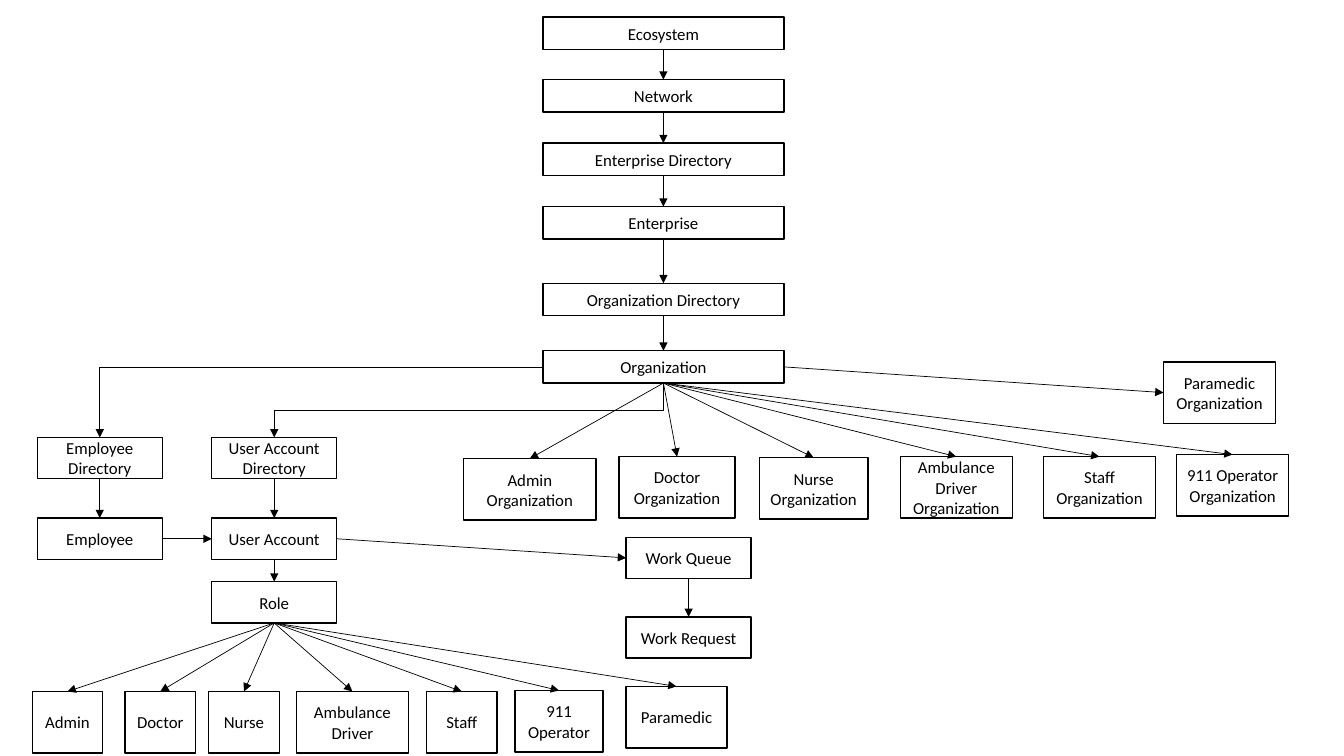
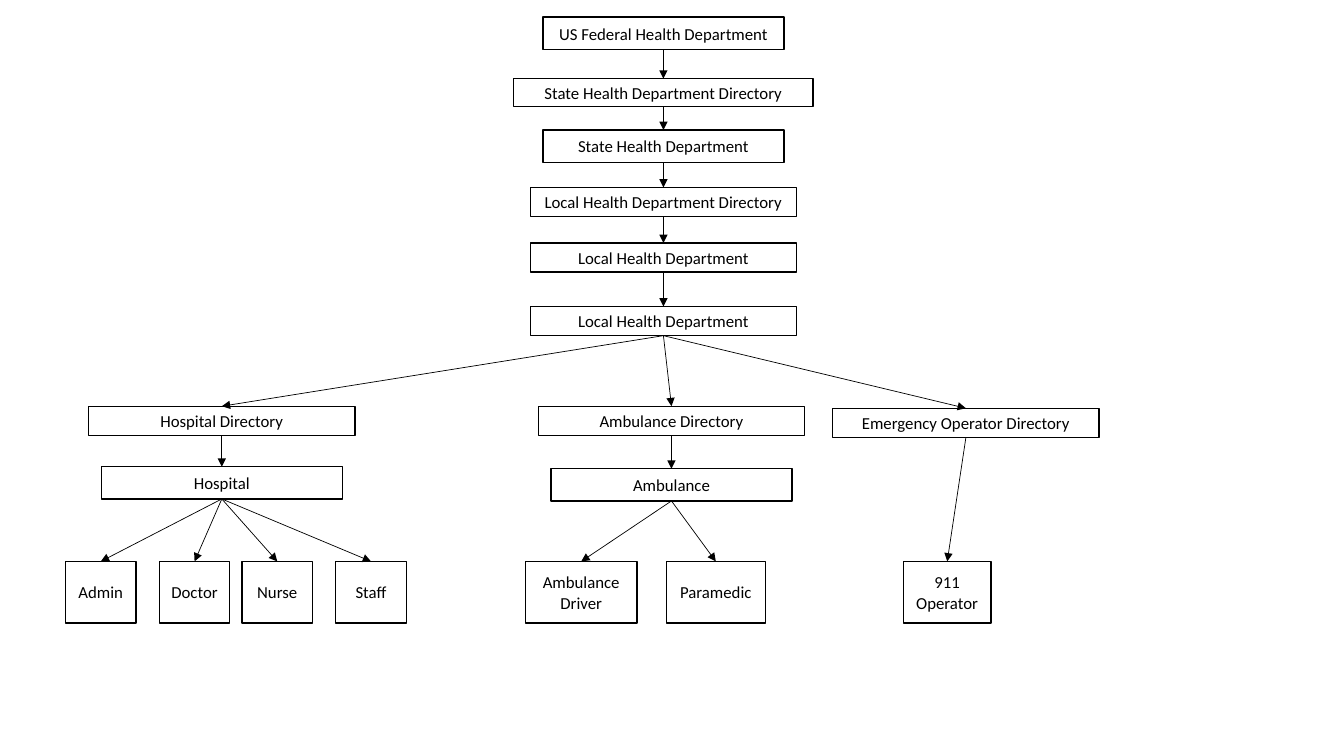
from dataclasses import dataclass

from lxml.etree import SubElement
from pptx import Presentation
from pptx.dml.color import RGBColor
from pptx.enum.shapes import MSO_CONNECTOR, MSO_SHAPE
from pptx.enum.text import MSO_ANCHOR, PP_ALIGN
from pptx.oxml.ns import qn
from pptx.util import Inches, Pt

TOP, LEFT, BOTTOM, RIGHT = range(4)


@dataclass(frozen=True)
class Theme:
    ink: RGBColor = RGBColor(0, 0, 0)
    font: str = "Calibri"
    size: Pt = Pt(12)
    edge: Pt = Pt(1)
    wire: Pt = Pt(0.5)
    bar: tuple = (2.39, 0.32)
    wide: tuple = (2.64, 0.29)
    card: tuple = (1.24, 0.41)
    leaf: float = 0.61


THEME = Theme()
FONT = {"name": THEME.font, "size": THEME.size}
FRAME = {"word_wrap": True, "vertical_anchor": MSO_ANCHOR.MIDDLE}


def apply(target, values):
    for name, value in values.items():
        setattr(target, name, value)


def draw_box(slide, text, left, top, width, height):
    box = slide.shapes.add_shape(
        MSO_SHAPE.RECTANGLE, *map(Inches, (left, top, width, height)))
    box.shadow.inherit = False
    box.fill.background()
    box.line.color.rgb = THEME.ink
    box.line.width = THEME.edge
    frame = box.text_frame
    apply(frame, FRAME)
    frame.text = text
    for para in frame.paragraphs:
        para.alignment = PP_ALIGN.CENTER
        for run in para.runs:
            apply(run.font, FONT)
            run.font.color.rgb = THEME.ink
    return box


def link(slide, start, end, out=BOTTOM, into=TOP, kind=MSO_CONNECTOR.STRAIGHT):
    """Glue an arrow between a side of one box and a side of another."""
    wire = slide.shapes.add_connector(kind, 0, 0, 0, 0)
    wire.begin_connect(start, out)
    wire.end_connect(end, into)
    wire.line.color.rgb = THEME.ink
    wire.line.width = THEME.wire
    props = wire.element.spPr
    SubElement(props.find(qn("a:ln")), qn("a:tailEnd"), type="triangle")
    SubElement(props, qn("a:effectLst"))
    return wire


def link_corner(slide, start, end):
    """Run sideways from the left of start, then down to the top of end."""
    wire = link(slide, start, end, LEFT, TOP, MSO_CONNECTOR.ELBOW)
    wire.element.spPr.find(qn("a:prstGeom")).set("prst", "bentConnector2")


def link_step(slide, start, end):
    """Run down, left and down again: an elbow turned by a quarter."""
    wire = link(slide, start, end, kind=MSO_CONNECTOR.ELBOW)
    wide, high = wire.width, wire.height
    mid_x, mid_y = wire.left + wide // 2, wire.top + high // 2
    apply(wire, {"left": mid_x - high // 2, "top": mid_y - wide // 2,
                 "width": high, "height": wide})
    frame = wire.element.spPr.find(qn("a:xfrm"))
    frame.attrib.pop("flipH", None)
    frame.set("rot", "5400000")


def draw_column(slide, mid, top, size, items):
    """Stack linked boxes around a centre line; items are (text, drop[, size])."""
    boxes = []
    for text, drop, *own in items:
        width, height = own[0] if own else size
        boxes.append(
            draw_box(slide, text, mid - width / 2, top + drop, width, height))
    for above, below in zip(boxes, boxes[1:]):
        link(slide, above, below)
    return boxes


def draw_fan(slide, parent, left, top, items):
    """Link parent to a row of leaves; items are (text, shift, width[, drop])."""
    for text, shift, width, *drop in items:
        leaf = draw_box(
            slide, text, left + shift, top + sum(drop), width, THEME.leaf)
        link(slide, parent, leaf)


def build_system(slide):
    spine = draw_column(slide, 6.58, 0.17, THEME.bar, [
        ("Ecosystem", 0), ("Network", 0.62), ("Enterprise Directory", 1.25),
        ("Enterprise", 1.88), ("Organization Directory", 2.64),
        ("Organization", 3.31)])
    hub = spine[-1]
    staff = draw_column(slide, 0.99, 4.34, THEME.card, [
        ("Employee Directory", 0), ("Employee", 0.8)])
    users = draw_column(slide, 2.72, 4.34, THEME.card, [
        ("User Account Directory", 0), ("User Account", 0.8), ("Role", 1.43)])
    work = draw_column(slide, 6.83, 5.33, THEME.card, [
        ("Work Queue", 0), ("Work Request", 0.79)])
    link_corner(slide, hub, staff[0])
    link_step(slide, hub, users[0])
    link(slide, staff[1], users[1], RIGHT, LEFT)
    link(slide, users[1], work[0], RIGHT, LEFT)

    draw_fan(slide, hub, 4.6, 4.53, [
        ("Admin\nOrganization", 0, 1.31, 0.02),
        ("Doctor Organization", 1.54, 1.15),
        ("Nurse Organization", 2.93, 1.08, 0.01),
        ("Ambulance Driver Organization", 4.33, 1.11),
        ("Staff Organization", 5.75, 1.11),
        ("911 Operator Organization", 7.07, 1.11, -0.02)])
    medic = draw_box(
        slide, "Paramedic Organization", 11.54, 3.59, 1.11, THEME.leaf)
    link(slide, hub, medic, RIGHT, LEFT)

    draw_fan(slide, users[-1], 0.32, 6.86, [
        ("Admin", 0, 0.7), ("Doctor", 0.92, 0.7), ("Nurse", 1.75, 0.7),
        ("Ambulance Driver", 2.62, 1.11), ("Staff", 3.91, 0.7),
        ("911 Operator", 4.79, 0.87, -0.01),
        ("Paramedic", 5.89, 1, -0.05)])


def build_health(slide):
    spine = draw_column(slide, 6.58, 0.17, THEME.wide, [
        ("US Federal Health Department", 0, THEME.bar),
        ("State Health Department Directory", 0.61, (2.97, 0.28)),
        ("State Health Department", 1.12, THEME.bar),
        ("Local Health Department Directory", 1.69),
        ("Local Health Department", 2.24),
        ("Local Health Department", 2.87)])
    branches = [
        (2.2, 4.03, [("Hospital Directory", 0), ("Hospital", 0.6, THEME.bar)],
         0.65, [("Admin", 0, 0.7), ("Doctor", 0.93, 0.7),
                ("Nurse", 1.75, 0.7), ("Staff", 2.68, 0.7)]),
        (6.66, 4.03, [("Ambulance Directory", 0),
                      ("Ambulance", 0.62, THEME.bar)],
         5.21, [("Ambulance Driver", 0, 1.11), ("Paramedic", 1.4, 0.98)]),
        (9.58, 4.05, [("Emergency Operator Directory", 0)],
         8.96, [("911 Operator", 0, 0.87)]),
    ]
    for mid, top, units, left, roles in branches:
        column = draw_column(slide, mid, top, THEME.wide, units)
        link(slide, spine[-1], column[0])
        draw_fan(slide, column[-1], left, 5.57, roles)


def main():
    deck = Presentation()
    apply(deck, {"slide_width": Inches(13.33), "slide_height": Inches(7.5)})
    blank = deck.slide_layouts.get_by_name("Blank")
    for build in (build_system, build_health):
        build(deck.slides.add_slide(blank))
    deck.save("out.pptx")


if __name__ == "__main__":
    main()
